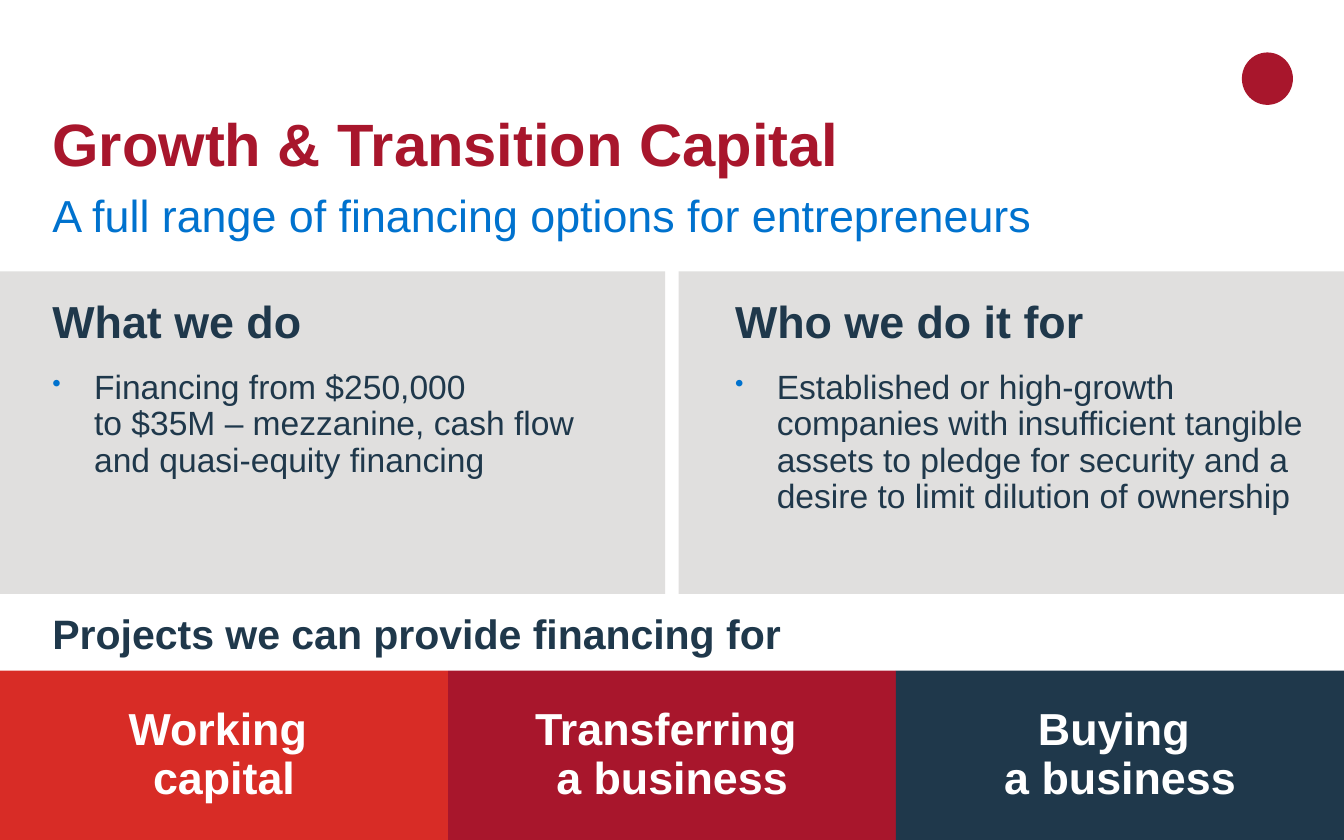
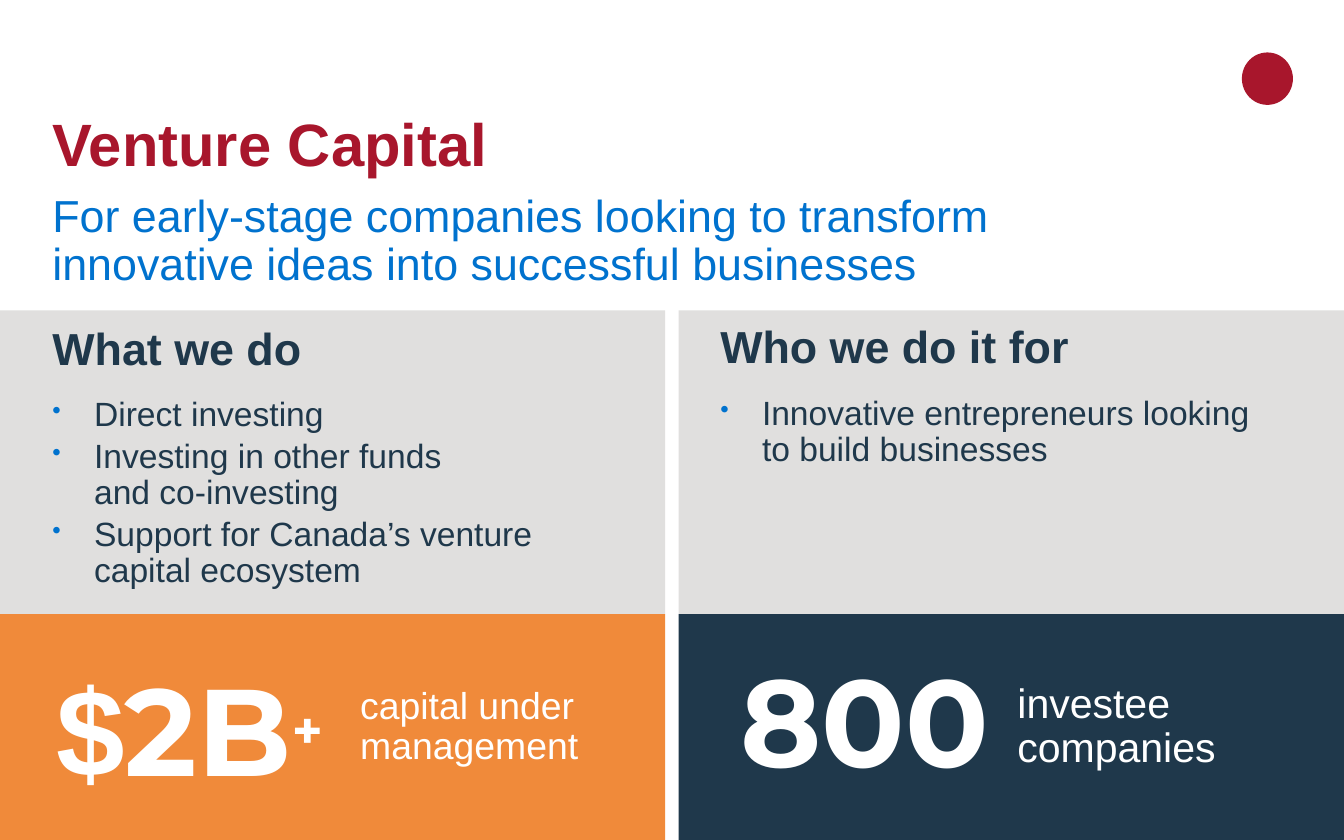
from lxml import etree
from pptx import Presentation
from pptx.dml.color import RGBColor
from pptx.enum import shapes, text
from pptx.oxml.ns import qn
from pptx.util import Inches, Pt

RED = RGBColor(0xD8, 0x2C, 0x26)
CRIMSON = RGBColor(0xA8, 0x16, 0x2C)
NAVY = RGBColor(0x1F, 0x38, 0x4B)
BLUE = RGBColor(0x00, 0x72, 0xCE)
ORANGE = RGBColor(0xF0, 0x8A, 0x3A)
GREY = RGBColor(0xE0, 0xDF, 0xDE)
WHITE = RGBColor(0xFF, 0xFF, 0xFF)

WIDTH, HEIGHT = 10, 6.25
MARGIN = 0.39
PANEL_W = 4.95
PANEL_X = (0, WIDTH - PANEL_W)
MIDDLE = text.MSO_ANCHOR.MIDDLE


def add_box(s, x, y, w, h, fill=None, ins=(0, 0, 0, 0),
            anchor=text.MSO_ANCHOR.TOP, kind=shapes.MSO_SHAPE.RECTANGLE):
    """Add a filled shape, or a text box if there is no fill; return its text frame."""
    area = [Inches(v) for v in (x, y, w, h)]
    if fill is None:
        sp = s.shapes.add_textbox(*area)
    else:
        sp = s.shapes.add_shape(kind, *area)
        sp.shadow.inherit = False
        sp.fill.solid()
        sp.fill.fore_color.rgb = fill
        sp.line.fill.background()
    tf = sp.text_frame
    tf.word_wrap = True
    tf.vertical_anchor = anchor
    tf.margin_left, tf.margin_top, tf.margin_right, tf.margin_bottom = [
        Inches(v) for v in ins]
    return tf


def add_text(tf, words, size, color=NAVY, bold=False, font="Arial", line=0.9,
             before=0, align=text.PP_ALIGN.LEFT, bullet=False, join=False, raised=0):
    """Add a paragraph, or with join extend the last one; a newline is a line break."""
    p = tf.paragraphs[-1]
    if p.runs and not join:
        p = tf.add_paragraph()
    if not join:
        pPr = p._p.get_or_add_pPr()
        if bullet:
            pPr.set("marL", str(Inches(0.31)))
            pPr.set("indent", str(-Inches(0.31)))
            clr = etree.SubElement(pPr, qn("a:buClr"))
            etree.SubElement(clr, qn("a:srgbClr"), val=str(BLUE))
            etree.SubElement(pPr, qn("a:buSzPct"), val="75000")
            etree.SubElement(pPr, qn("a:buChar"), char="•")
        p.alignment = align
        p.line_spacing = line
        if before:
            p.space_before = Pt(before)
    for i, part in enumerate(words.split("\n")):
        if i:
            p.add_line_break()
        r = p.add_run()
        r.text = part
        r.font.size = Pt(size)
        r.font.bold = bold
        r.font.name = font
        r.font.color.rgb = color
        if raised:
            r._r.get_or_add_rPr().set("baseline", str(raised * 1000))


prs = Presentation()
prs.slide_width, prs.slide_height = Inches(WIDTH), Inches(HEIGHT)

# title, subtitle, panel top and height, then per column: text area, heading, bullets
PAGES = [
    ("Growth & Transition Capital",
     "A full range of financing options for entrepreneurs", 2.02, 2.4, [
         ((0.39, 2.23, 4.41, 2.16), "What we do", [
             "Financing from $250,000 \nto $35M – mezzanine, cash flow \n"
             "and quasi-equity financing"]),
         ((5.47, 2.23, 4.27, 2.11), "Who we do it for", [
             "Established or high-growth companies with insufficient tangible "
             "assets to pledge for security and a desire to limit dilution of ownership"]),
     ]),
    ("Venture Capital",
     "For early-stage companies looking to transform \n"
     "innovative ideas into successful businesses", 2.31, 2.26, [
         ((0.39, 2.43, 4.59, 2.26), "What we do", [
             "Direct investing",
             "Investing in other funds \nand co-investing",
             "Support for Canada’s venture \ncapital ecosystem"]),
         ((5.36, 2.42, 4.51, 1.9), "Who we do it for", [
             "Innovative entrepreneurs looking \nto build businesses"]),
     ]),
]

slides = []
for title, subtitle, top, height, columns in PAGES:
    s = prs.slides.add_slide(prs.slide_layouts[6])
    slides.append(s)
    add_box(s, 9.24, 0.39, 0.38, 0.39, fill=CRIMSON, kind=shapes.MSO_SHAPE.OVAL)
    for x in PANEL_X:
        add_box(s, x, top, PANEL_W, height, fill=GREY)
    for area, heading, bullets in columns:
        tf = add_box(s, *area)
        add_text(tf, heading, 24, bold=True)
        for i, bullet in enumerate(bullets):
            add_text(tf, bullet, 18, before=3 if i else 12, bullet=True)
    tf = add_box(s, MARGIN, 0.32, 8.46, 1.01, anchor=text.MSO_ANCHOR.BOTTOM)
    add_text(tf, title, 32, color=CRIMSON, bold=True, line=0.85)
    add_text(add_box(s, MARGIN, 1.44, 9.4, 0.42), subtitle, 24, color=BLUE)

growth, venture = slides

# Project types
PROJECTS = [("Working \ncapital", RED), ("Transferring \na business", CRIMSON),
            ("Buying \na business", NAVY)]
project_w = WIDTH / len(PROJECTS)
for i, (project, fill) in enumerate(PROJECTS):
    tf = add_box(growth, i * project_w, 4.99, project_w, 1.26, fill=fill,
                 ins=(0.1, 0.05, 0.1, 0.05), anchor=MIDDLE)
    add_text(tf, project, 24, color=WHITE, bold=True, align=text.PP_ALIGN.CENTER)
tf = add_box(growth, MARGIN, 4.42, 9.35, 0.62, ins=(0, 0.15, 0, 0))
add_text(tf, "Projects we can provide financing for", 22, bold=True)

# Key figures: fill, label, label size and inset, figure area, figure runs
FIGURES = [
    (ORANGE, "capital under management", 20, 2.68, (0.42, 4.56, 2.64, 1.84),
     [("$", 66, "Arial", 0), ("2B", 66, "Montserrat", 0), ("+", 48, "Montserrat", 30)]),
    (NAVY, "investee \ncompanies", 22, 2.52, (5.51, 4.57, 2.39, 1.68),
     [("800", 66, "Montserrat", 0)]),
]
for x, (fill, label, size, inset, area, runs) in zip(PANEL_X, FIGURES):
    tf = add_box(venture, x, 4.57, PANEL_W, 1.68, fill=fill,
                 ins=(inset, 0.2, 0.1, 0.2), anchor=MIDDLE)
    add_text(tf, label, size, color=WHITE)
    tf = add_box(venture, *area, anchor=MIDDLE)
    for i, (words, size, font, raised) in enumerate(runs):
        add_text(tf, words, size, color=WHITE, bold=True, font=font,
                 join=i > 0, raised=raised)

prs.save("out.pptx")
